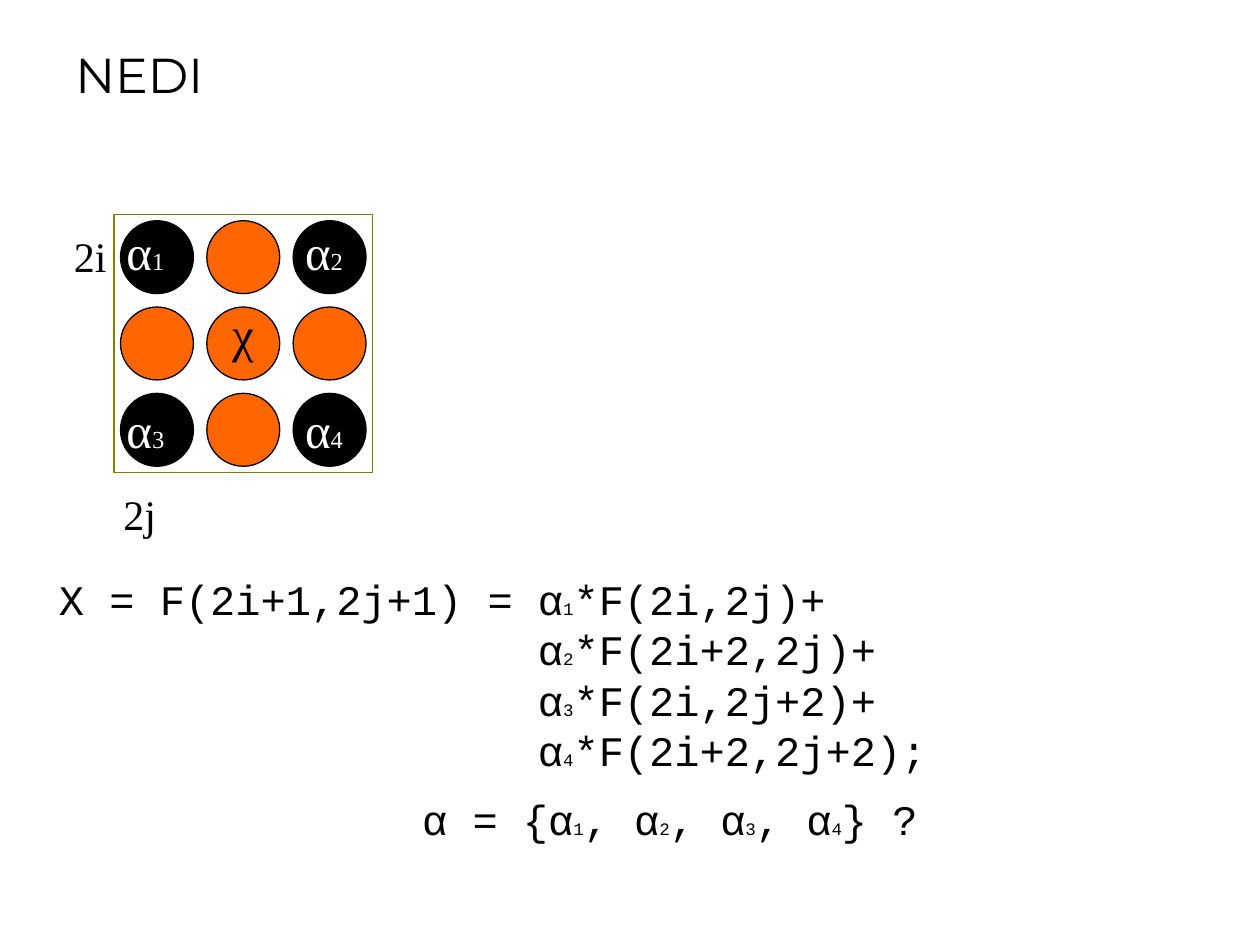
from dataclasses import dataclass

from pptx import Presentation
from pptx.dml.color import RGBColor
from pptx.enum.shapes import MSO_SHAPE
from pptx.enum.text import MSO_ANCHOR, MSO_AUTO_SIZE, PP_ALIGN
from pptx.util import Cm, Pt

RECT, OVAL = MSO_SHAPE.RECTANGLE, MSO_SHAPE.OVAL
TOP, BOTTOM = MSO_ANCHOR.TOP, MSO_ANCHOR.BOTTOM
LEFT, CENTER = PP_ALIGN.LEFT, PP_ALIGN.CENTER
GROW, FIXED = MSO_AUTO_SIZE.SHAPE_TO_FIT_TEXT, MSO_AUTO_SIZE.NONE


@dataclass(frozen=True)
class Theme:
    black: RGBColor = RGBColor(0, 0, 0)
    white: RGBColor = RGBColor(255, 255, 255)
    orange: RGBColor = RGBColor(0xFF, 0x66, 0)
    olive: RGBColor = RGBColor(0x80, 0x80, 0)
    large: int = 28
    body: int = 24
    index: int = 14
    code_index: int = 10
    title_font: str = "Montserrat"
    serif: str = "Times New Roman"
    mono: str = "Courier New"


T = Theme()

prs = Presentation()
prs.slide_width, prs.slide_height = Cm(25.4), Cm(19.05)
s = prs.slides.add_slide(prs.slide_layouts[6])


def add_text(text, box, *, font=T.serif, size=T.body, index=T.index, color=T.black,
             align=LEFT, anchor=TOP, wrap=True, fit=GROW):
    """Add a text box; "_" marks the next character as a small index."""
    tf = s.shapes.add_textbox(*[Cm(v) for v in box]).text_frame
    tf.word_wrap, tf.auto_size, tf.vertical_anchor = wrap, fit, anchor
    tf.margin_left = tf.margin_right = Cm(0.25)
    tf.margin_top = tf.margin_bottom = Cm(0.13)
    for n, line in enumerate(text.split("\n")):
        p = tf.add_paragraph() if n else tf.paragraphs[0]
        p.alignment = align
        first, *rest = line.split("_")
        runs = [(first, size)]
        for part in rest:
            runs += [(part[0], index), (part[1:], size)]
        for run_text, run_size in runs:
            if run_text:
                r = p.add_run()
                r.text = run_text
                r.font.name, r.font.size = font, Pt(run_size)
                r.font.color.rgb = color


def add_outlined(shapes, kind, box, line, fill=None):
    sp = shapes.add_shape(kind, *[Cm(v) for v in box])
    sp.shadow.inherit = False
    sp.line.color.rgb, sp.line.width = line, Pt(0.75)
    if fill is None:
        sp.fill.background()
    else:
        sp.fill.solid()
        sp.fill.fore_color.rgb = fill


# Title
add_text("NEDI", (1.27, 0.76, 20.52, 1.45), font=T.title_font, size=T.large,
         anchor=BOTTOM, fit=FIXED)

# Pixel grid: known pixels in the corners, missing ones between
grid = s.shapes.add_group_shape().shapes
add_outlined(grid, RECT, (2.3, 4.32, 5.21, 5.21), T.olive)
PITCH, DOT = 1.74, 1.47
for row in range(3):
    for col in range(3):
        known = row != 1 and col != 1
        add_outlined(grid, OVAL, (2.43 + col * PITCH, 4.45 + row * PITCH, DOT, DOT),
                     T.black, T.black if known else T.orange)

# Weights on the known pixels
for n in range(4):
    row, col = divmod(n, 2)
    add_text(f"α_{n + 1}", (2.3 + col * 3.6, 4.33 + row * 3.6, 1.8 - col * 0.2, 1.45),
             size=T.large, color=T.white)

# Centre pixel and axis labels
add_text("χ", (4, 5.98, 1.8, 1.45), size=T.large, align=CENTER)
add_text("2i", (1.24, 4.52, 1.17, 1.27), wrap=False)
add_text("2j", (2.24, 9.72, 1.17, 1.27), wrap=False)

# Interpolation code, in a box wide enough for its longest line
code = """X = F(2i+1,2j+1) = α_1*F(2i,2j)+
                   α_2*F(2i+2,2j)+
                   α_3*F(2i,2j+2)+
                   α_4*F(2i+2,2j+2);"""
add_text(code, (0.94, 11.43, 18.6, 4.32), font=T.mono, index=T.code_index)
add_text("α = {α_1, α_2, α_3, α_4} ?", (8.26, 15.87, 11.86, 1.27),
         font=T.mono, index=T.code_index)

prs.save("out.pptx")
